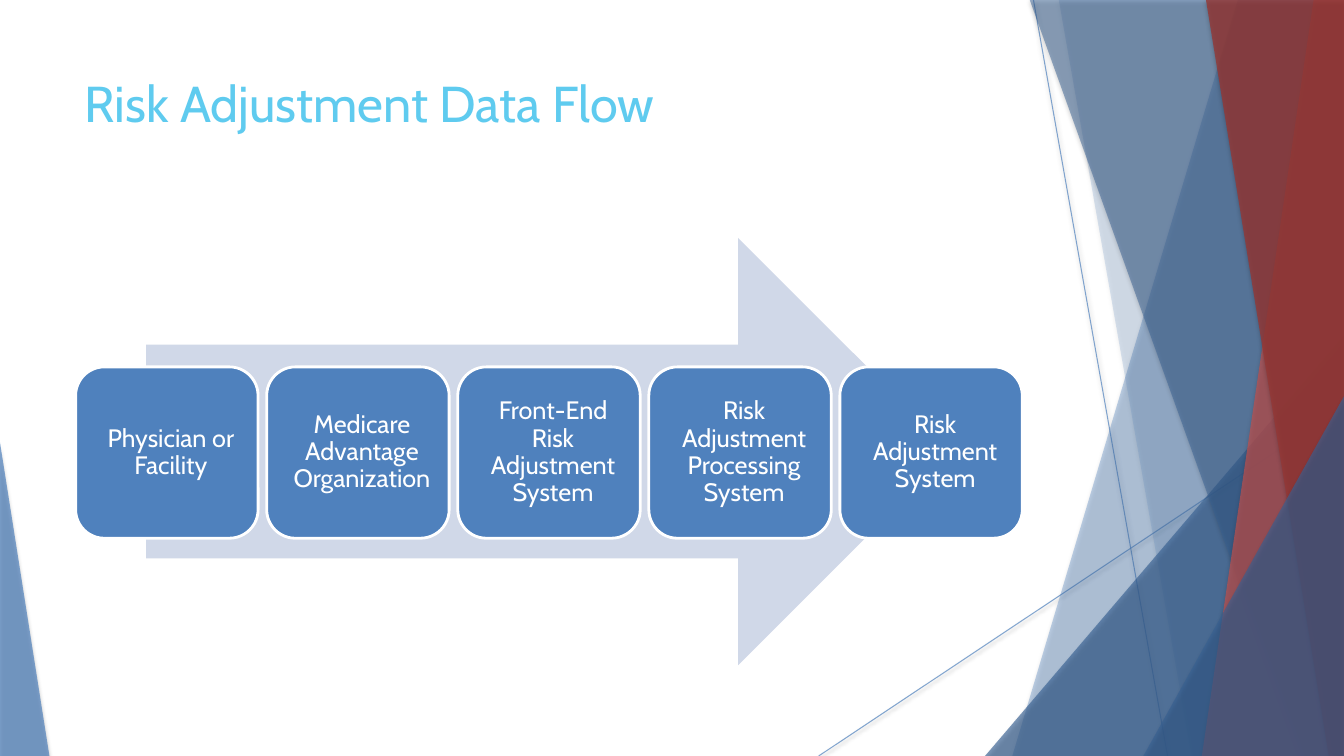
from lxml.etree import SubElement
from pptx import Presentation
from pptx.dml.color import RGBColor
from pptx.enum.shapes import MSO_CONNECTOR, MSO_SHAPE
from pptx.enum.text import MSO_ANCHOR, MSO_AUTO_SIZE, PP_ALIGN
from pptx.oxml.ns import qn
from pptx.util import Inches, Pt

COLORS = {
    "title": "5FCBEF",
    "blue": "4F81BD",
    "navy": "376092",
    "red": "C0504D",
    "maroon": "953735",
    "arrow": "D0D8E8",
    "white": "FFFFFF",
    "shadow": "000000",
}
FONT = "Cabin"
W, H = 13.33, 7.5
TOP = -0.01


class SlideBuilder:
    def __init__(self, slide):
        self.slide = slide
        self.shapes = slide.shapes

    def color(self, name):
        return RGBColor.from_string(COLORS[name])

    def set_alpha(self, props, percent):
        clr = next(props.iter(qn("a:srgbClr")))
        SubElement(clr, qn("a:alpha"), val=str(percent * 1000))

    def add_shadow(self, effects, blur, dist, percent):
        shadow = SubElement(effects, qn("a:outerShdw"), blurRad=str(Pt(blur)),
                            dist=str(Pt(dist)), dir="5400000", rotWithShape="0")
        SubElement(shadow, qn("a:srgbClr"), val=COLORS["shadow"])
        self.set_alpha(shadow, percent)

    def paint(self, sp, fill, alpha=None):
        sp.fill.solid()
        sp.fill.fore_color.rgb = self.color(fill)
        sp.line.fill.background()
        sp.shadow.inherit = False
        if alpha:
            spPr = sp.element.spPr
            self.set_alpha(spPr.find(qn("a:solidFill")), alpha)
            self.add_shadow(spPr.find(qn("a:effectLst")), 3, 2, 35)

    def add_text(self, p, text, size, color):
        r = p.add_run()
        r.text = text
        r.font.name = FONT
        r.font.size = Pt(size)
        r.font.color.rgb = self.color(color)

    def title(self, text, x, y, w, h):
        sp = self.shapes.title
        sp.left, sp.top, sp.width, sp.height = map(Inches, (x, y, w, h))
        tf = sp.text_frame
        tf.word_wrap = True
        tf.auto_size = MSO_AUTO_SIZE.NONE
        tf.vertical_anchor = MSO_ANCHOR.TOP
        p = tf.paragraphs[0]
        p.alignment = PP_ALIGN.LEFT
        self.add_text(p, text, 36, "title")

    def line(self, x1, y1, x2, y2):
        cxn = self.shapes.add_connector(
            MSO_CONNECTOR.STRAIGHT, *map(Inches, (x1, y1, x2, y2)))
        cxn.line.color.rgb = self.color("blue")
        cxn.line.width = Pt(0.75)
        spPr = cxn.element.spPr
        self.set_alpha(spPr.find(qn("a:ln")), 70)
        self.add_shadow(SubElement(spPr, qn("a:effectLst")), 3.1, 1.6, 38)

    def panel(self, top_x, bottom_x, fill, alpha):
        """Band from a slanted left edge to the right side of the slide."""
        corners = [(top_x, TOP), (W, TOP), (W, H), (bottom_x, H)]
        start, *rest = [(Inches(x), Inches(y)) for x, y in corners]
        fb = self.shapes.build_freeform(*start)
        fb.add_line_segments(rest, close=True)
        self.paint(fb.convert_to_shape(), fill, alpha)

    def shape(self, kind, x, y, w, h, fill, adj, alpha=None):
        sp = self.shapes.add_shape(kind, *map(Inches, (x, y, w, h)))
        for i, value in enumerate(adj):
            sp.adjustments[i] = value
        self.paint(sp, fill, alpha)
        return sp

    def triangle(self, x, y, w, apex, fill, alpha):
        """Corner triangle standing on the bottom edge."""
        self.shape(MSO_SHAPE.ISOSCELES_TRIANGLE, x, y, w, H - y, fill, [apex], alpha)

    def step(self, text, x, y, w, h):
        sp = self.shape(MSO_SHAPE.ROUNDED_RECTANGLE, x, y, w, h, "blue", [0.167])
        sp.line.color.rgb = self.color("white")
        sp.line.width = Pt(2)
        tf = sp.text_frame
        tf.word_wrap = True
        tf.vertical_anchor = MSO_ANCHOR.MIDDLE
        tf.margin_left = tf.margin_top = tf.margin_bottom = Inches(0.16)
        tf.margin_right = Inches(0.08)
        p = tf.paragraphs[0]
        p.alignment = PP_ALIGN.CENTER
        p.line_spacing = 0.9
        self.add_text(p, text, 18, "white")


def main():
    prs = Presentation()
    prs.slide_width, prs.slide_height = Inches(W), Inches(H)
    s = SlideBuilder(prs.slides.add_slide(prs.slide_layouts[5]))

    # Background facets, back to front
    s.line(10.25, 0, 11.58, H)
    s.line(W, 4.03, 8.12, H)
    s.panel(12.28, 10.04, "blue", 36)
    s.panel(10.5, 11.82, "blue", 20)
    s.triangle(9.77, 3.33, 3.56, 1, "navy", 66)
    s.panel(10.21, 12.91, "navy", 50)
    s.panel(13.03, 11.92, "red", 70)
    s.panel(11.96, 13.18, "maroon", 80)
    s.triangle(11.34, 3.93, 1.99, 1, "navy", 66)
    s.triangle(0, 4.39, 0.49, 0, "blue", 70)

    # Title
    s.title("Risk Adjustment Data Flow", 0.74, 0.67, 9.4, 1.44)

    # Process arrow and its steps
    s.shape(MSO_SHAPE.RIGHT_ARROW, 1.45, 2.36, 7.99, 4.24, "arrow", [0.5, 0.5])
    steps = [
        "Physician or Facility",
        "Medicare Advantage Organization",
        "Front-End Risk Adjustment System",
        "Risk Adjustment Processing System",
        "Risk Adjustment System",
    ]
    left, right, width = 0.75, 10.14, 1.81
    pitch = (right - width - left) / (len(steps) - 1)
    for i, text in enumerate(steps):
        s.step(text, left + i * pitch, 3.64, width, 1.7)

    prs.save("out.pptx")


if __name__ == "__main__":
    main()
